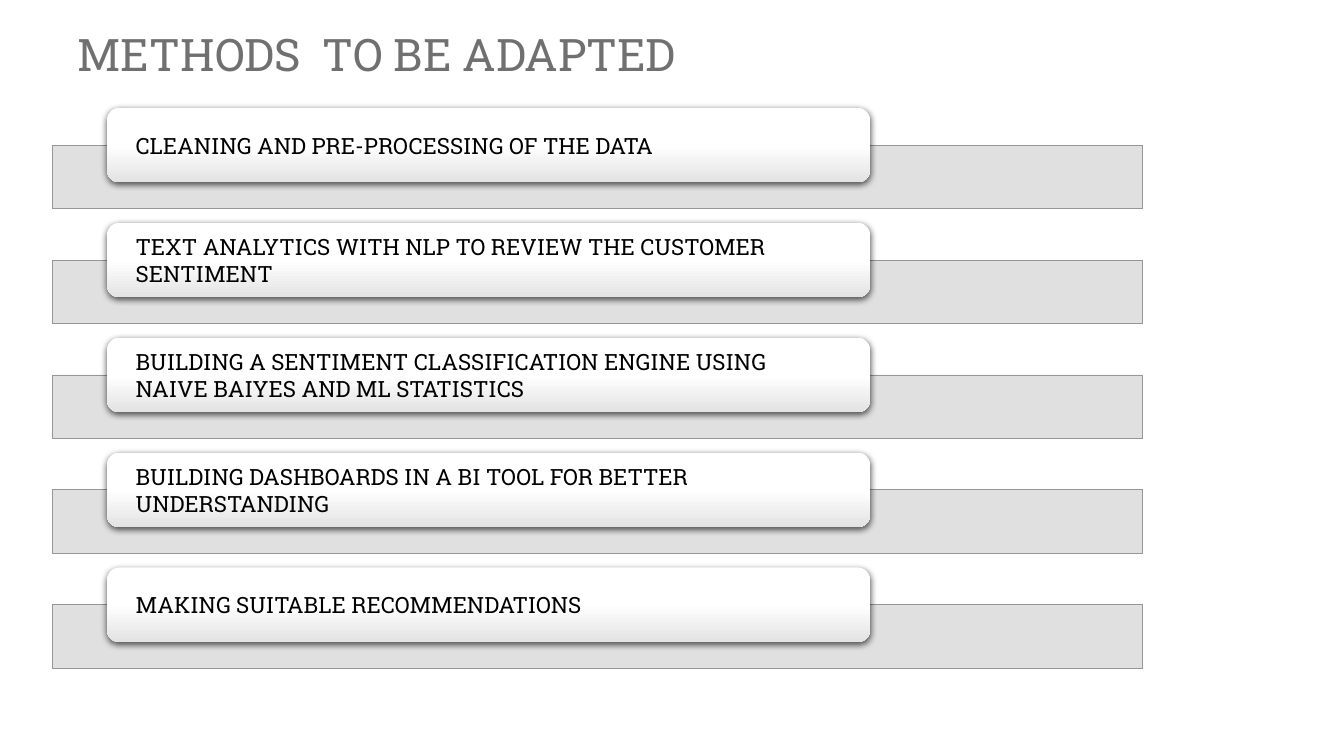
from copy import deepcopy

from lxml.etree import SubElement as Sub
from pptx import Presentation
from pptx.dml.color import RGBColor as Color
from pptx.enum.shapes import MSO_SHAPE as Shape
from pptx.enum.text import MSO_ANCHOR as Anchor, PP_ALIGN as Align
from pptx.oxml.ns import qn
from pptx.util import Inches, Pt

WHITE = Color(0xFF, 0xFF, 0xFF)
BLACK = Color(0x00, 0x00, 0x00)
TITLE_GREY = Color(0x70, 0x70, 0x70)
BAR_GREY = Color(0xDD, 0xDD, 0xDD)
BORDER_GREY = Color(0x96, 0x96, 0x96)
CARD_GREY = Color(0xE3, 0xE3, 0xE3)

METHODS = [
    "CLEANING AND PRE-PROCESSING OF THE DATA",
    "TEXT ANALYTICS WITH NLP TO REVIEW THE CUSTOMER SENTIMENT",
    "BUILDING A SENTIMENT CLASSIFICATION ENGINE USING NAIVE BAIYES AND ML STATISTICS",
    "BUILDING DASHBOARDS IN A BI TOOL FOR BETTER UNDERSTANDING",
    "MAKING SUITABLE RECOMMENDATIONS",
]
FIRST_CARD_ROW = 14.27
ROW_PITCH = 15.2
BAR_DROP = 4.93


class MethodSlide:
    font = "Roboto Slab"
    divisions = 100

    def __init__(self, deck):
        self.column = deck.slide_width / self.divisions
        self.row = deck.slide_height / self.divisions
        self.shapes = deck.slides.add_slide(deck.slide_layouts[6]).shapes

    def place(self, left, top, width, height):
        return (round(left * self.column), round(top * self.row),
                round(width * self.column), round(height * self.row))

    def set_text(self, box, text, size, color):
        frame = box.text_frame
        frame.text = text
        frame.word_wrap = True
        frame.vertical_anchor = Anchor.MIDDLE
        para = frame.paragraphs[0]
        para.alignment = Align.LEFT
        font = para.runs[0].font
        font.name = self.font
        font.size = Pt(size)
        font.color.rgb = color
        return frame

    def title(self, text):
        box = self.shapes.add_textbox(*self.place(5.03, 2.8, 90, 8.53))
        self.set_text(box, text, 32, TITLE_GREY)

    def bar(self, top):
        bar = self.shapes.add_shape(Shape.RECTANGLE, *self.place(3.9, top, 81.1, 8.4))
        bar.shadow.inherit = False
        bar.fill.solid()
        bar.fill.fore_color.rgb = BAR_GREY
        color = bar._element.spPr.find(qn("a:solidFill"))[0]
        Sub(color, qn("a:alpha"), val="90000")
        bar.line.color.rgb = BORDER_GREY
        bar.line.width = Pt(0.5)

    def card(self, top, text):
        card = self.shapes.add_shape(
            Shape.ROUNDED_RECTANGLE, *self.place(7.95, top, 56.8, 9.87))
        card.line.fill.background()
        self.shade(card)
        self.cast_shadow(card)
        frame = self.set_text(card, text, 16, BLACK)
        frame.margin_left = frame.margin_right = Inches(0.25)
        frame.margin_top = frame.margin_bottom = 0

    def shade(self, card):
        card.fill.gradient()
        card.fill.gradient_angle = 270
        first, last = card.fill.gradient_stops
        first.color.rgb, first.position = WHITE, 0
        last.color.rgb, last.position = CARD_GREY, 1
        stops = card._element.spPr.find(qn("a:gradFill")).find(qn("a:gsLst"))
        middle = deepcopy(stops[0])
        middle.set("pos", "50000")
        stops.insert(1, middle)

    def cast_shadow(self, card):
        card.shadow.inherit = False
        effects = card._element.spPr.find(qn("a:effectLst"))
        shadow = Sub(effects, qn("a:outerShdw"), blurRad=str(Pt(4.5)),
                     dist=str(Pt(1.5)), dir="5400000", algn="ctr", rotWithShape="0")
        color = Sub(shadow, qn("a:srgbClr"), val=str(BLACK))
        Sub(color, qn("a:alpha"), val="63000")


def main():
    deck = Presentation()
    deck.slide_width, deck.slide_height = Inches(13.33), Inches(7.5)
    page = MethodSlide(deck)
    page.title("METHODS  TO BE ADAPTED")
    for index, method in enumerate(METHODS):
        top = FIRST_CARD_ROW + index * ROW_PITCH
        page.bar(top + BAR_DROP)
        page.card(top, method)
    deck.save("out.pptx")


if __name__ == "__main__":
    main()
